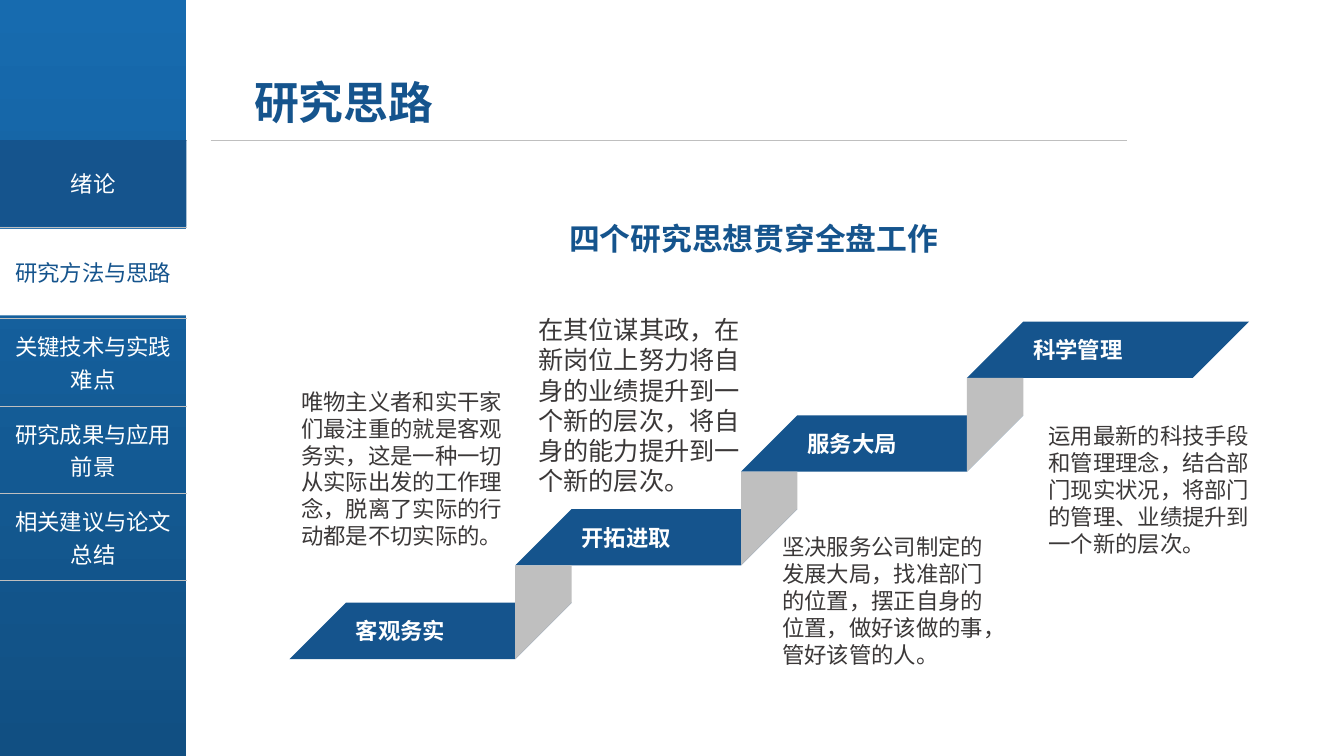
from lxml import etree
from pptx import Presentation
from pptx.dml.color import RGBColor
from pptx.enum.shapes import MSO_CONNECTOR, MSO_SHAPE
from pptx.enum.text import MSO_ANCHOR, PP_ALIGN
from pptx.oxml.ns import qn
from pptx.util import Inches, Pt

RECT, BOARD = MSO_SHAPE.RECTANGLE, MSO_SHAPE.FLOWCHART_DATA
STRAIGHT = MSO_CONNECTOR.STRAIGHT
LEFT, CENTER = PP_ALIGN.LEFT, PP_ALIGN.CENTER
TOP, MIDDLE = MSO_ANCHOR.TOP, MSO_ANCHOR.MIDDLE
COLORS = {"navy": "15548D", "white": "FFFFFF", "gray": "BFBFBF", "ink": "3B3838",
          "panel_top": "176BAF", "panel_bottom": "114F82"}
FONT = "Noto Sans CJK SC"


def rgb(color):
    return RGBColor.from_string(COLORS[color])


class SlideBuilder:
    def __init__(self, slide):
        self.s = slide

    def set_text(self, tf, text, color, size=16, bold=False, align=LEFT, spacing=None):
        tf.word_wrap = True
        p = tf.paragraphs[0]
        for name, value in {"alignment": align, "line_spacing": spacing}.items():
            setattr(p, name, value)
        r = p.add_run()
        r.text = text
        for name, value in {"name": FONT, "size": Pt(size), "bold": bold}.items():
            setattr(r.font, name, value)
        r.font.color.rgb = rgb(color)
        etree.SubElement(r._r.get_or_add_rPr(), qn("a:ea"), typeface=FONT)

    def paint(self, sp, fill):
        sp.shadow.inherit = False
        sp.line.fill.background()
        sp.fill.solid()
        sp.fill.fore_color.rgb = rgb(fill)

    def shape(self, kind, box, fill, text=None, color="white", **style):
        sp = self.s.shapes.add_shape(kind, *map(Inches, box))
        self.paint(sp, fill)
        if text:
            sp.text_frame.vertical_anchor = MIDDLE
            self.set_text(sp.text_frame, text, color, **style)
        return sp

    def panel(self, box, top, bottom):
        sp = self.shape(RECT, box, top)
        sp.fill.gradient()
        sp.fill.gradient_angle = 270
        for stop, color in zip(sp.fill.gradient_stops, (top, bottom)):
            stop.color.rgb = rgb(color)

    def text(self, box, text, color, margin=None, **style):
        tf = self.s.shapes.add_textbox(*map(Inches, box)).text_frame
        tf.vertical_anchor = TOP
        if margin is not None:
            for side in ("left", "top", "right", "bottom"):
                setattr(tf, f"margin_{side}", Inches(margin))
        self.set_text(tf, text, color, **style)

    def freeform(self, points, fill):
        corners = [(Inches(x), Inches(y)) for x, y in points]
        builder = self.s.shapes.build_freeform(*corners[0])
        builder.add_line_segments(corners[1:], close=True)
        self.paint(builder.convert_to_shape(), fill)

    def rule(self, x1, x2, y, color, width):
        line = self.s.shapes.add_connector(STRAIGHT, *map(Inches, (x1, y, x2, y)))
        line.line.color.rgb = rgb(color)
        line.line.width = Pt(width)
        etree.SubElement(line._element.spPr, qn("a:effectLst"))

    def menu(self, box, heights, labels):
        frame = self.s.shapes.add_table(len(labels), 1, *map(Inches, box))
        table = frame.table
        table.first_row = table.horz_banding = False
        for i, (height, label) in enumerate(zip(heights, labels)):
            table.rows[i].height = Inches(height)
            cell = table.cell(i, 0)
            cell.vertical_anchor = MIDDLE
            self.borders(cell)
            cell.fill.background()
            if label:
                self.set_text(cell.text_frame, label, "white", align=CENTER)

    def borders(self, cell):
        tc_pr = cell._tc.get_or_add_tcPr()
        for side in "LRTB":
            ln = etree.SubElement(tc_pr, qn(f"a:ln{side}"), w=str(Pt(1)))
            if side in "LR":
                etree.SubElement(ln, qn("a:noFill"))
            else:
                fill = etree.SubElement(ln, qn("a:solidFill"))
                etree.SubElement(fill, qn("a:srgbClr"), val=COLORS["gray"])


def main():
    prs = Presentation()
    prs.slide_width, prs.slide_height = Inches(13.33), Inches(7.5)
    b = SlideBuilder(prs.slides.add_slide(prs.slide_layouts[6]))

    menu_w, menu_top = 1.85, 1.39
    b.panel((0, 0, menu_w, 7.5), "panel_top", "panel_bottom")
    b.rule(2.09, 11.18, menu_top, "gray", 0.5)
    b.menu((0, menu_top, menu_w, 4.37), (0.87, 0.9, 0.87, 0.87, 0.86),
           ("", "", "关键技术与实践难点", "研究成果与应用前景", "相关建议与论文总结"))
    b.shape(RECT, (0, menu_top, menu_w, 0.86), "navy", "绪论", align=CENTER)
    b.shape(RECT, (0, 2.27, menu_w, 0.86), "white", "研究方法与思路", "navy", align=CENTER)

    b.text((2.52, 0.74, 3.99, 0.54), "研究思路", "navy", margin=0, size=32, bold=True)
    b.text((5.24, 1.95, 4.47, 0.6), "四个研究思想贯穿全盘工作", "navy",
           size=22, bold=True, align=CENTER, spacing=1.5)

    board_w, board_h, run, rise = 2.8, 0.56, 2.24, 0.93
    for i, step in enumerate(("客观务实", "开拓进取", "服务大局", "科学管理")):
        x, y = 2.87 + i * run, 5.98 - i * rise
        b.shape(BOARD, (x, y, board_w, board_h), "navy", step, bold=True)
        if i:
            fold_top, fold_right = y + board_h, x + board_w - run
            b.freeform([(x, fold_top + rise), (x, fold_top), (fold_right, fold_top),
                        (fold_right, y + rise)], "gray")

    notes = (
        ((2.89, 3.8, 2.39, 1.72), 16,
         "唯物主义者和实干家们最注重的就是客观务实，这是一种一切从实际出发的工作理念，脱离了实际的行动都是不切实际的。"),
        ((5.24, 3.07, 2.35, 1.92), 18,
         "在其位谋其政，在新岗位上努力将自身的业绩提升到一个新的层次，将自身的能力提升到一个新的层次。"),
        ((7.66, 5.24, 2.39, 1.45), 16,
         "坚决服务公司制定的发展大局，找准部门的位置，摆正自身的位置，做好该做的事，管好该管的人。"),
        ((10.3, 4.14, 2.39, 1.45), 16,
         "运用最新的科技手段和管理理念，结合部门现实状况，将部门的管理、业绩提升到一个新的层次。"),
    )
    for box, size, note in notes:
        b.text(box, note, "ink", size=size)

    prs.save("out.pptx")


if __name__ == "__main__":
    main()
